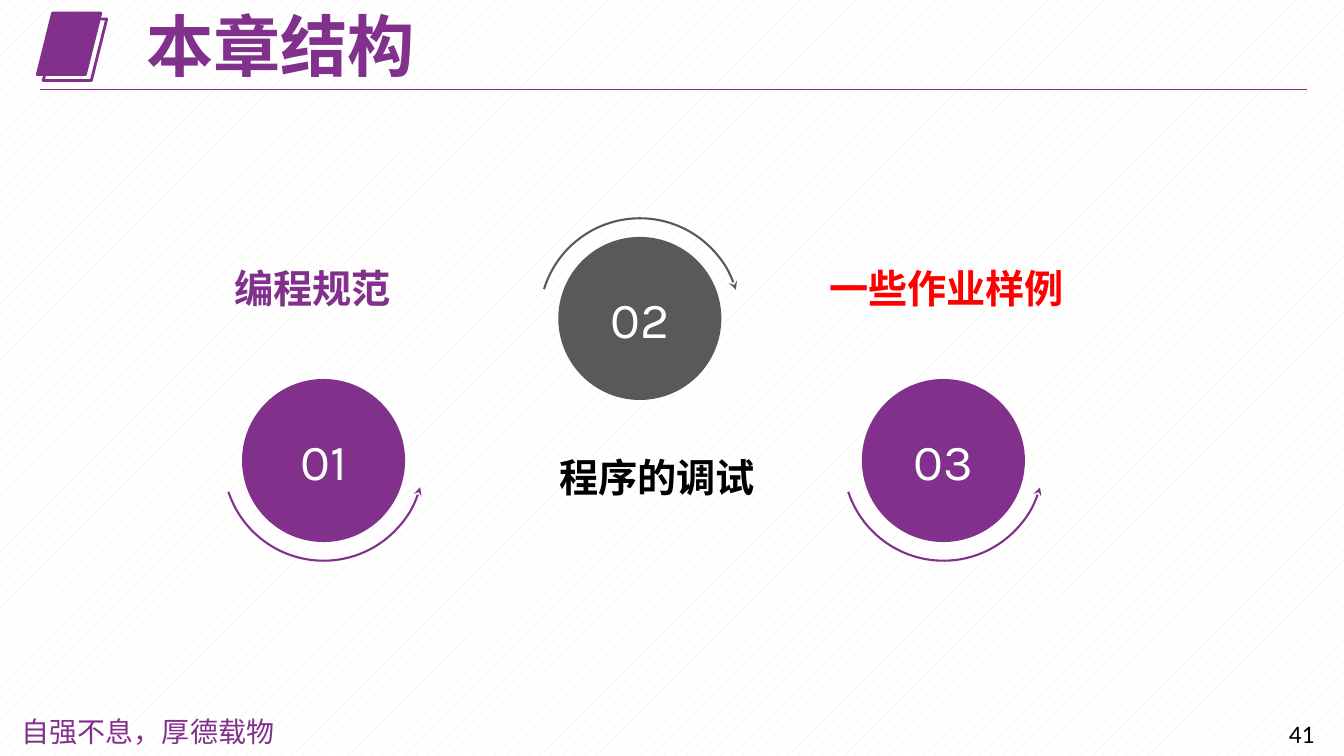
import pptx
import pptx.util
import pptx.dml.color
import pptx.enum.dml
import pptx.enum.shapes
import pptx.enum.text
import pptx.oxml
import pptx.oxml.ns

Cm = pptx.util.Cm
Pt = pptx.util.Pt
RGBColor = pptx.dml.color.RGBColor
KIND = pptx.enum.shapes.MSO_SHAPE
ALIGN = pptx.enum.text.PP_ALIGN
MIDDLE = pptx.enum.text.MSO_ANCHOR.MIDDLE

PURPLE = RGBColor(0x81, 0x30, 0x8C)
GREY = RGBColor(0x59, 0x59, 0x59)
RED = RGBColor(0xFF, 0x00, 0x00)
BLACK = RGBColor(0x00, 0x00, 0x00)
WHITE = RGBColor(0xFF, 0xFF, 0xFF)
CREAM = RGBColor(0xEE, 0xEC, 0xE1)

HEAVY = "Noto Sans CJK SC"
LIGHT = "Noto Sans CJK JP"


def add_node(owner, tag, **attrs):
    node = pptx.oxml.parse_xml(f"<a:{tag} {pptx.oxml.ns.nsdecls('a')}/>")
    for name, value in attrs.items():
        node.set(name, value)
    owner.append(node)


def write(frame, text, size, color, face, bold=False, align=ALIGN.LEFT):
    para = frame.paragraphs[0]
    para.alignment = align
    run = para.add_run()
    run.text = text
    font = run.font
    font.size = Pt(size)
    font.bold = bold
    font.name = face
    font.color.rgb = color
    add_node(run._r.get_or_add_rPr(), "ea", typeface=face)
    return para


def add_label(slide, box, text, size, color, face, bold=False):
    label = slide.shapes.add_textbox(*map(Cm, box))
    label.text_frame.word_wrap = True
    write(label.text_frame, text, size, color, face, bold)


def add_form(slide, kind, box, fill=None, line=None, width=0):
    form = slide.shapes.add_shape(kind, *map(Cm, box))
    form.shadow.inherit = False
    if fill is None:
        form.fill.background()
    else:
        form.fill.solid()
        form.fill.fore_color.rgb = fill
    if line is None:
        form.line.fill.background()
    else:
        form.line.color.rgb = line
        form.line.width = Pt(width)
    return form


def add_header(slide, left, top, width):
    # Pair of slanted cards
    for shift, fill in ((0, PURPLE), (0.15, None)):
        box = (left + shift, top + shift, 1.6, 1.55)
        add_form(slide, KIND.PARALLELOGRAM, box, fill, PURPLE, 2)

    # Rule below the title
    level = Cm(top + 1.93)
    rule = slide.shapes.add_connector(
        pptx.enum.shapes.MSO_CONNECTOR.STRAIGHT,
        Cm(left + 0.08), level, Cm(left + width), level)
    rule.line.color.rgb = PURPLE
    rule.line.width = Pt(0.75)
    add_node(rule._element.spPr, "effectLst")

    # Title
    title = slide.shapes.title
    title.left, title.top = Cm(left + 2.49), Cm(top - 0.05)
    title.width, title.height = Cm(15.62), Cm(1.93)
    frame = title.text_frame
    frame.auto_size = pptx.enum.text.MSO_AUTO_SIZE.NONE
    frame.vertical_anchor = MIDDLE
    para = write(frame, "本章结构", 48, PURPLE, HEAVY, True)
    para.line_spacing = 0.9


def add_step(slide, left, top, number, color, above=False):
    # Numbered disc
    size, gap = 4.11, 0.47
    disc = add_form(slide, KIND.OVAL, (left, top, size, size), color)
    disc.text_frame.vertical_anchor = MIDDLE
    write(disc.text_frame, number, 36, WHITE, "Karla", align=ALIGN.CENTER)

    # Curved arrow around the disc
    span = size + 2 * gap
    box = (left - gap, top - gap, span, span)
    arc = add_form(slide, KIND.ARC, box, None, color, 1.5)
    arc.adjustments[0] = 145.86
    arc.adjustments[1] = 17.63
    arc.rotation = 46.4 if above else 132.4
    if above:
        arc._element.spPr.xfrm.set("flipH", "1")
    add_node(arc.line._get_or_add_ln(), "headEnd", type="stealth")


def add_steps(slide, left, top):
    # Discs with their arrows
    add_step(slide, left, top + 3.58, "01", PURPLE)
    add_step(slide, left + 7.97, top, "02", GREY, above=True)
    add_step(slide, left + 15.62, top + 3.58, "03", PURPLE)

    # Topic names
    topics = (
        (-0.44, 0.56, 6, "编程规范", PURPLE),
        (7.74, 5.33, 6.81, "程序的调试", BLACK),
        (14.55, 0.56, 6.48, "一些作业样例", RED),
    )
    for across, down, width, text, color in topics:
        box = (left + across, top + down, width, 1.9)
        add_label(slide, box, text, 28, color, HEAVY, True)


def add_footer(slide, left, top):
    add_label(slide, (left, top, 7.06, 1.12),
              "自强不息，厚德载物", 20, PURPLE, LIGHT)
    add_label(slide, (left + 31.93, top + 0.1, 1.55, 1.02),
              "41", 18, BLACK, "Calibri")


def main():
    deck = pptx.Presentation()
    deck.slide_width, deck.slide_height = Cm(33.87), Cm(19.05)
    slide = deck.slides.add_slide(deck.slide_layouts[5])

    # Patterned background
    fill = slide.background.fill
    fill.patterned()
    fill.pattern = pptx.enum.dml.MSO_PATTERN.PERCENT_10
    fill.fore_color.rgb = CREAM
    fill.back_color.rgb = WHITE

    add_header(slide, 0.94, 0.33, 32)
    add_steps(slide, 6.1, 5.97)
    add_footer(slide, 0.3, 17.88)
    deck.save("out.pptx")


if __name__ == "__main__":
    main()
